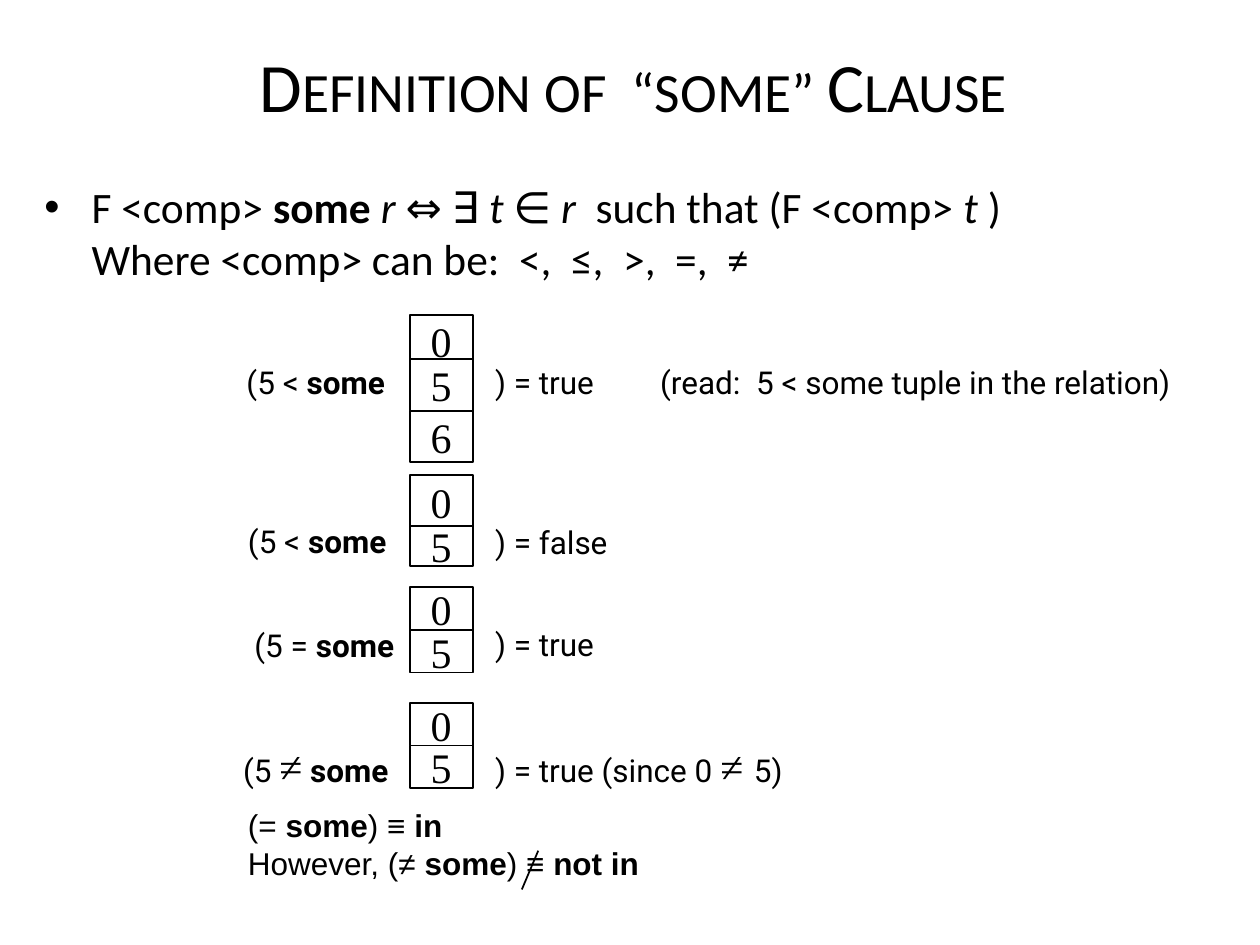
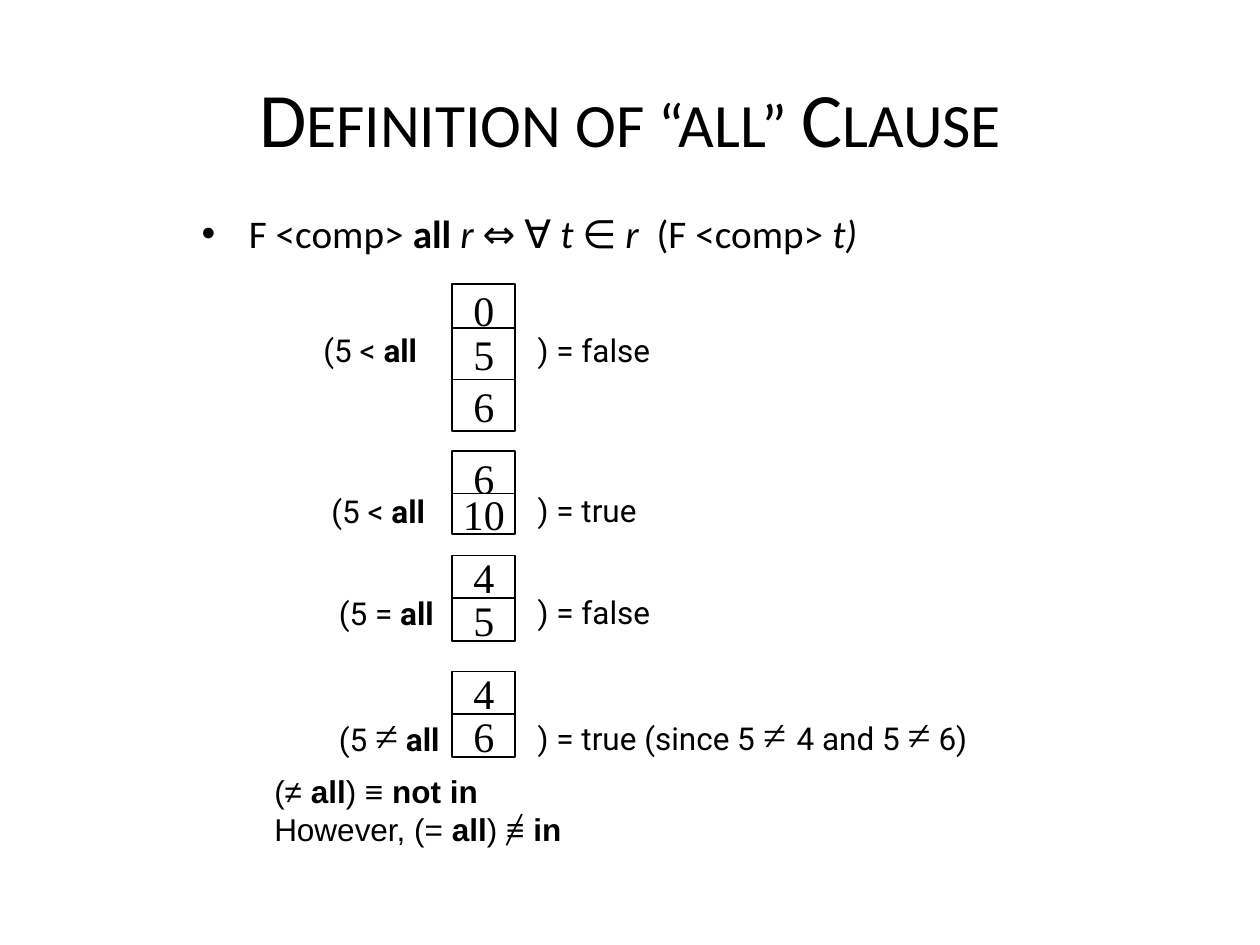
from dataclasses import dataclass
from typing import NamedTuple

from lxml.etree import SubElement
from pptx import Presentation
from pptx.dml.color import RGBColor
from pptx.enum.shapes import MSO_CONNECTOR, MSO_SHAPE
from pptx.enum.text import MSO_ANCHOR, MSO_AUTO_SIZE, PP_ALIGN
from pptx.oxml.ns import qn
from pptx.util import Cm, Pt


# Theme: colours, fonts and type sizes
@dataclass(frozen=True)
class Theme:
    ink: RGBColor = RGBColor(0x00, 0x00, 0x00)
    paper: RGBColor = RGBColor(0xFF, 0xFF, 0xFF)
    heading_font: str = "Calibri"
    label_font: str = "Roboto"
    value_font: str = "Times New Roman"
    conclusion_font: str = "Arial"
    label_size: float = 18
    value_size: float = 24
    line_width: float = 1


THEME = Theme()


class Span(NamedTuple):
    text: str
    bold: bool = False
    italic: bool = False
    symbol: bool = False  # set in the larger font of the values


class Box(NamedTuple):
    """Left, top, width and height in centimetres."""
    left: float
    top: float
    width: float
    height: float


class Cell(NamedTuple):
    """Offset from the top of its relation, and height."""
    offset: float
    height: float


class Label(NamedTuple):
    spans: list[Span]
    left: float
    top: float
    width: float


@dataclass(frozen=True)
class Comparison:
    left_side: Label
    result: Label
    values: tuple[str, ...]
    top: float
    cells: tuple[Cell, ...]


@dataclass(frozen=True)
class ClauseSlide:
    title: str
    title_box: Box
    title_size: float
    definition: list[Span]
    definition_box: Box
    definition_size: float
    relation_left: float
    comparisons: list[Comparison]
    conclusions: list[list[Span]]
    conclusion_box: Box
    strike: tuple[float, float, float, float]
    remark: Label | None = None


# Text notation
def plain(text: str) -> Span:
    return Span(text)


def bold(text: str) -> Span:
    return Span(text, bold=True)


def italic(text: str) -> Span:
    return Span(text, italic=True)


def symbol(text: str) -> Span:
    return Span(text, symbol=True)


LINE_BREAK = plain("\n")

# Relation layouts
CELL_WIDTH = 1.27
RESULT_GAP = 1.47
TRIPLE = (Cell(0, 1.04), Cell(0.89, 1.04), Cell(1.93, 1.04))
EVEN_PAIR = (Cell(0, 0.86), Cell(0.86, 0.86))
WIDE_PAIR = (Cell(0, 1.07), Cell(1.02, 0.81))
TIGHT_PAIR = (Cell(0, 1.07), Cell(0.86, 0.81))


def left_side(operator: str, quantifier: str, left: float, top: float, width: float) -> Label:
    if operator == "≠":
        opening = [plain("(5 "), symbol("≠"), plain(" ")]
    else:
        opening = [plain(f"(5 {operator} ")]
    return Label([*opening, bold(quantifier)], left, top, width)


def result(relation_left: float, top: float, width: float, *spans: Span) -> Label:
    return Label(list(spans), relation_left + RESULT_GAP, top, width)


# Slide contents
SOME_LEFT = 8.26
SOME = ClauseSlide(
    title="Definition of  “some” Clause",
    title_box=Box(1.55, 0.86, 22.43, 1.7),
    title_size=39.6,
    definition=[
        plain("F <comp> "), bold("some "), italic("r "), plain("⇔ ∃ "), italic("t "),
        plain("∈"), italic(" r  "), plain("such that (F <comp> "), italic("t "), plain(")"),
        LINE_BREAK, plain("Where <comp> can be:  <,  ≤,  >,  =,  ≠"),
    ],
    definition_box=Box(0.64, 3.51, 22.5, 1.98),
    definition_size=24.8,
    relation_left=SOME_LEFT,
    comparisons=[
        Comparison(left_side("<", "some", 4.72, 7.19, 3.76),
                   result(SOME_LEFT, 7.19, 2.54, plain(") = true")),
                   ("0", "5", "6"), 6.35, TRIPLE),
        Comparison(left_side("<", "some", 4.75, 10.39, 3.84),
                   result(SOME_LEFT, 10.41, 3.38, plain(") = false")),
                   ("0", "5"), 9.58, WIDE_PAIR),
        Comparison(left_side("=", "some", 4.88, 12.5, 4.24),
                   result(SOME_LEFT, 12.47, 3.38, plain(") = true")),
                   ("0", "5"), 11.84, EVEN_PAIR),
        Comparison(left_side("≠", "some", 4.65, 14.81, 4.01),
                   result(SOME_LEFT, 14.81, 6.99, plain(") = true (since 0 "),
                          symbol("≠ "), plain("5)")),
                   ("0", "5"), 14.17, EVEN_PAIR),
    ],
    conclusions=[
        [plain("(= "), bold("some"), plain(") ≡ "), bold("in")],
        [plain("However, (≠ "), bold("some"), plain(") ≡ "), bold("not in")],
    ],
    conclusion_box=Box(4.75, 16.13, 18.9, 1.98),
    strike=(10.85, 17.15, 10.52, 17.93),
    remark=Label([plain("(read:  5 < some tuple in the relation)")], 13.06, 7.19, 13.54),
)

ALL_LEFT = 9.12
ALL = ClauseSlide(
    title="Definition of “all” Clause",
    title_box=Box(1.27, 0.76, 22.86, 3.18),
    title_size=44,
    definition=[
        plain("F <comp> "), bold("all "), italic("r "), plain("⇔ ∀ "), italic("t "),
        plain("∈"), italic(" r "), plain(" (F <comp> "), italic("t)"),
    ],
    definition_box=Box(3.81, 4.09, 18.44, 1.07),
    definition_size=22.4,
    relation_left=ALL_LEFT,
    comparisons=[
        Comparison(left_side("<", "all", 6.27, 6.55, 3.38),
                   result(ALL_LEFT, 6.55, 3.38, plain(") = false")),
                   ("0", "5", "6"), 5.72, TRIPLE),
        Comparison(left_side("<", "all", 6.43, 9.8, 3.38),
                   result(ALL_LEFT, 9.78, 3.38, plain(") = true")),
                   ("6", "10"), 9.09, TIGHT_PAIR),
        Comparison(left_side("=", "all", 6.58, 11.86, 3.38),
                   result(ALL_LEFT, 11.84, 3.38, plain(") = false")),
                   ("4", "5"), 11.2, EVEN_PAIR),
        Comparison(left_side("≠", "all", 6.58, 14.17, 4.65),
                   result(ALL_LEFT, 14.15, 12.7, plain(") = true (since 5 "), symbol("≠ "),
                          plain("4 and 5 "), symbol("≠"), plain(" 6)")),
                   ("4", "6"), 13.54, EVEN_PAIR),
    ],
    conclusions=[
        [plain("(≠ "), bold("all"), plain(") ≡ "), bold("not in")],
        [plain("However, (= "), bold("all"), plain(") ≡ "), bold("in")],
    ],
    conclusion_box=Box(5.28, 15.44, 18.9, 1.98),
    strike=(10.52, 16.41, 10.21, 17.04),
)


# Drawing
def style_font(font, name: str, size: float) -> None:
    font.name = name
    font.size = Pt(size)
    font.color.rgb = THEME.ink


def write_spans(paragraph, spans: list[Span], font_name: str, size: float) -> None:
    for span in spans:
        if span == LINE_BREAK:
            paragraph.add_line_break()
            continue
        run = paragraph.add_run()
        run.text = span.text
        if span.symbol:
            style_font(run.font, THEME.value_font, THEME.value_size)
        else:
            style_font(run.font, font_name, size)
        run.font.bold = span.bold
        run.font.italic = span.italic


def place(placeholder, box: Box) -> None:
    placeholder.left, placeholder.top, placeholder.width, placeholder.height = map(Cm, box)
    placeholder.text_frame.auto_size = MSO_AUTO_SIZE.NONE


def draw_text(slide, paragraphs: list[list[Span]], box: Box, font_name: str) -> None:
    frame = slide.shapes.add_textbox(*map(Cm, box)).text_frame
    frame.word_wrap = True
    for index, spans in enumerate(paragraphs):
        paragraph = frame.add_paragraph() if index else frame.paragraphs[0]
        write_spans(paragraph, spans, font_name, THEME.label_size)


def draw_label(slide, label: Label) -> None:
    height = 1.27 if any(span.symbol for span in label.spans) else 1.02
    box = Box(label.left, label.top, label.width, height)
    draw_text(slide, [label.spans], box, THEME.label_font)


def draw_value(slide, value: str, box: Box) -> None:
    cell = slide.shapes.add_shape(MSO_SHAPE.RECTANGLE, *map(Cm, box))
    cell.shadow.inherit = False
    cell.fill.solid()
    cell.fill.fore_color.rgb = THEME.paper
    cell.line.color.rgb = THEME.ink
    cell.line.width = Pt(THEME.line_width)
    frame = cell.text_frame
    frame.text = value
    frame.word_wrap = False
    frame.vertical_anchor = MSO_ANCHOR.MIDDLE
    frame.paragraphs[0].alignment = PP_ALIGN.CENTER
    style_font(frame.paragraphs[0].runs[0].font, THEME.value_font, THEME.value_size)


def draw_comparison(slide, comparison: Comparison, relation_left: float) -> None:
    for value, cell in zip(comparison.values, comparison.cells):
        top = comparison.top + cell.offset
        draw_value(slide, value, Box(relation_left, top, CELL_WIDTH, cell.height))
    draw_label(slide, comparison.left_side)
    draw_label(slide, comparison.result)


def draw_strike(slide, ends: tuple[float, float, float, float]) -> None:
    strike = slide.shapes.add_connector(MSO_CONNECTOR.STRAIGHT, *map(Cm, ends))
    strike.line.color.rgb = THEME.ink
    strike.line.width = Pt(THEME.line_width)
    SubElement(strike._element.spPr, qn("a:effectLst"))


def draw_clause(presentation, clause: ClauseSlide) -> None:
    slide = presentation.slides.add_slide(presentation.slide_layouts[1])

    # Title in small capitals
    title = slide.shapes.title
    place(title, clause.title_box)
    title.text_frame.text = clause.title
    title.text_frame.vertical_anchor = MSO_ANCHOR.MIDDLE
    heading = title.text_frame.paragraphs[0]
    heading.alignment = PP_ALIGN.CENTER
    style_font(heading.runs[0].font, THEME.heading_font, clause.title_size)
    heading.runs[0]._r.get_or_add_rPr().set("cap", "small")

    # Definition
    body = slide.placeholders[1]
    place(body, clause.definition_box)
    write_spans(body.text_frame.paragraphs[0], clause.definition,
                THEME.heading_font, clause.definition_size)

    # Worked comparisons
    for comparison in clause.comparisons:
        draw_comparison(slide, comparison, clause.relation_left)
    if clause.remark:
        draw_label(slide, clause.remark)

    # Conclusions, with the second equivalence struck through
    draw_text(slide, clause.conclusions, clause.conclusion_box, THEME.conclusion_font)
    draw_strike(slide, clause.strike)


def main() -> None:
    presentation = Presentation()
    presentation.slide_width, presentation.slide_height = Cm(25.4), Cm(19.05)
    for clause in (SOME, ALL):
        draw_clause(presentation, clause)
    presentation.save("out.pptx")


if __name__ == "__main__":
    main()
